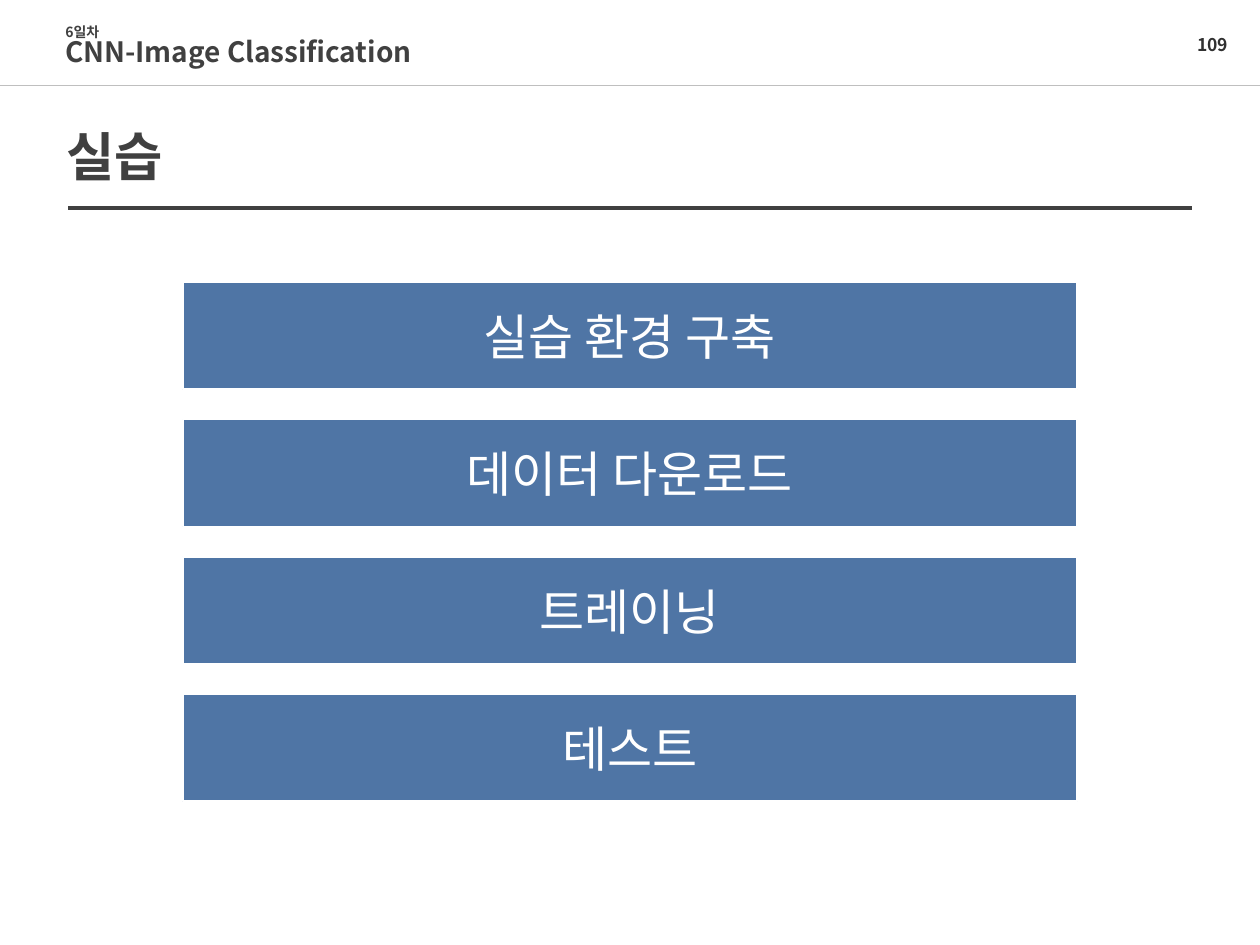
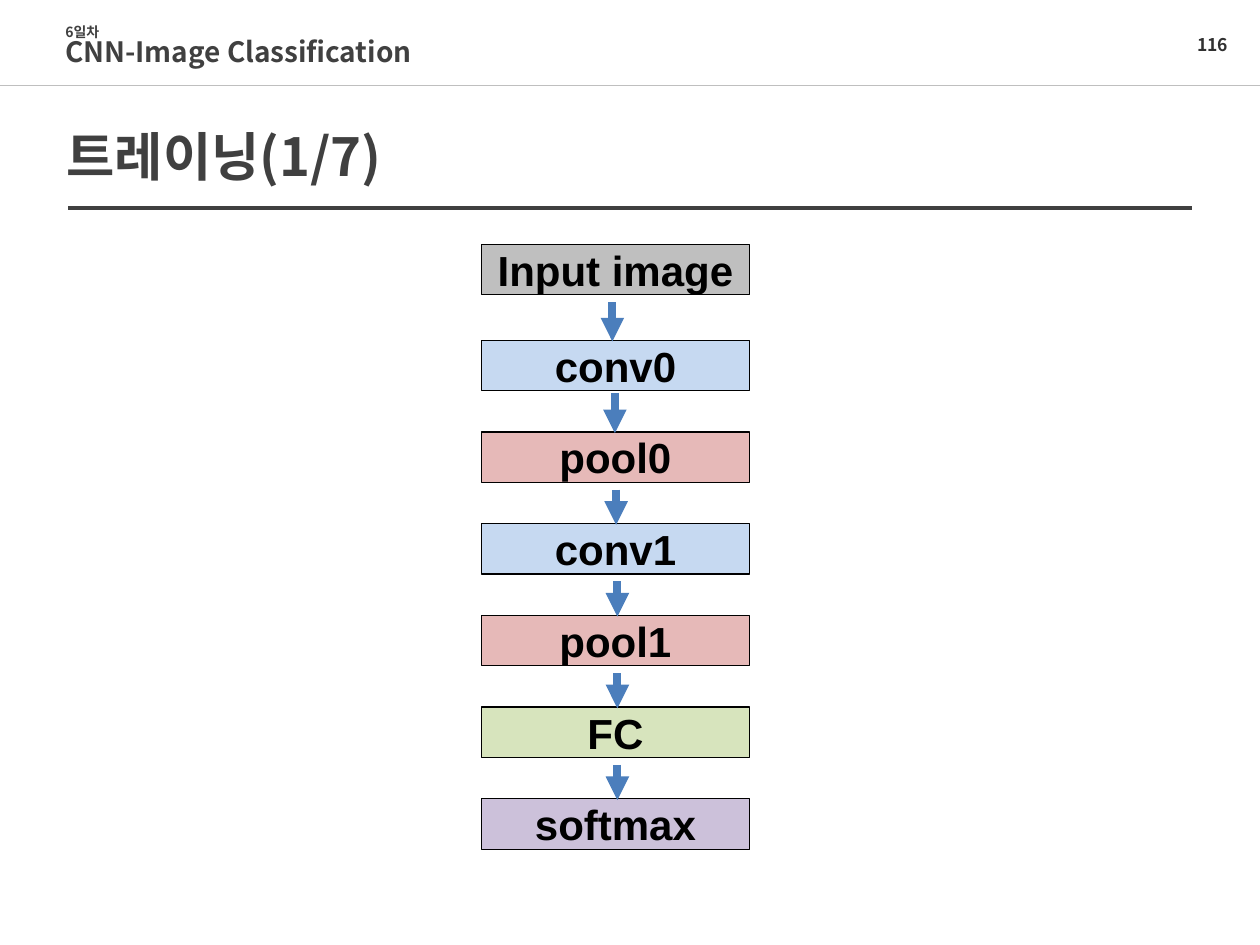
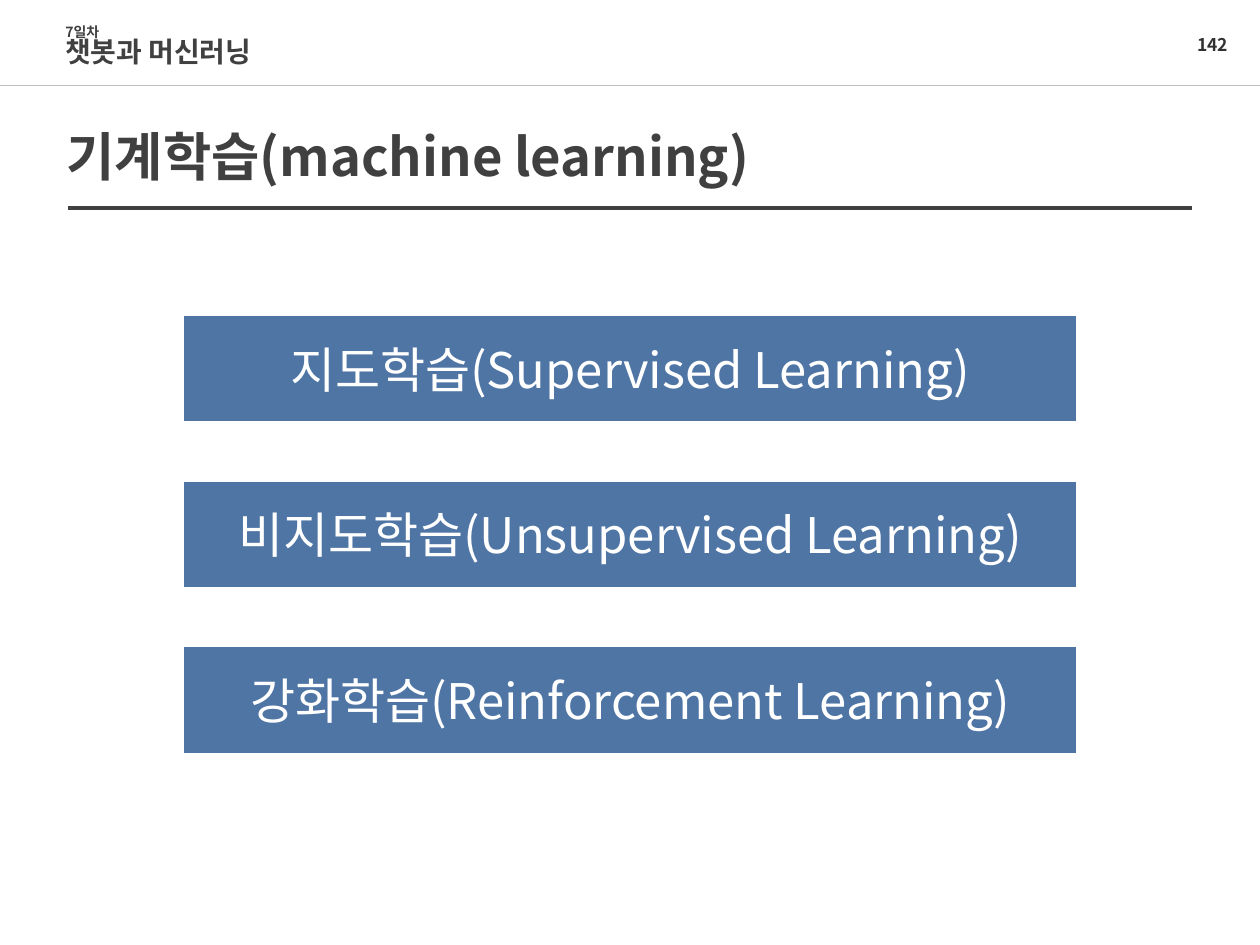
from dataclasses import dataclass

from lxml import etree
from pptx import Presentation
from pptx.dml.color import RGBColor
from pptx.enum.shapes import MSO_CONNECTOR, MSO_SHAPE
from pptx.enum.text import MSO_ANCHOR, MSO_AUTO_SIZE, PP_ALIGN
from pptx.oxml.ns import qn
from pptx.util import Emu, Inches, Pt

RECTANGLE = MSO_SHAPE.RECTANGLE
STRAIGHT = MSO_CONNECTOR.STRAIGHT
TOP, MIDDLE = MSO_ANCHOR.TOP, MSO_ANCHOR.MIDDLE
LEFT, CENTER = PP_ALIGN.LEFT, PP_ALIGN.CENTER
FIT_SHAPE = MSO_AUTO_SIZE.SHAPE_TO_FIT_TEXT

KOREAN, LATIN = "Noto Sans CJK KR", "Arial"
COLORS = {
    "ink": "404040", "number": "313131", "rule": "BFBFBF",
    "bar": "23538F", "white": "FFFFFF", "black": "000000", "arrow": "4B7EBC",
    "input": "BFBFBF", "conv": "C6D9F1", "pool": "E6B9B8",
    "dense": "D7E4BD", "output": "CCC1DA",
}

# Grid: 100 columns by 75 rows
WIDTH, HEIGHT = Inches(10), Inches(7.5)
COLUMN, ROW = WIDTH / 100, HEIGHT / 75


@dataclass(frozen=True)
class Area:
    left: float
    top: float
    width: float
    height: float

    def emu(self) -> tuple[Emu, ...]:
        return (Emu(round(self.left * COLUMN)), Emu(round(self.top * ROW)),
                Emu(round(self.width * COLUMN)), Emu(round(self.height * ROW)))


@dataclass(frozen=True)
class TextStyle:
    size: float
    color: str
    bold: bool = False
    font: str = KOREAN
    align: int = LEFT
    spacing: float = 1.0


@dataclass(frozen=True)
class Header:
    day: str
    subject: str
    title: str
    number: int
    width: float = 39.9


@dataclass(frozen=True)
class Bar:
    text: str
    font: str = KOREAN


@dataclass(frozen=True)
class Stage:
    name: str
    fill: str
    arrow_column: float = 0
    arrow_length: float = 0


DAY = TextStyle(8, "ink", bold=True, spacing=0.85)
SUBJECT = TextStyle(16, "ink", bold=True, spacing=0.85)
TITLE = TextStyle(30, "ink", bold=True, spacing=0.9)
NUMBER = TextStyle(10, "number", bold=True, align=CENTER, spacing=0.9)
STAGE = TextStyle(24, "black", bold=True, font=LATIN, align=CENTER)

BAR_LEFT, BAR_WIDTH, BAR_HEIGHT = 14.5, 71, 8.5
STAGE_LEFT, STAGE_WIDTH, STAGE_HEIGHT = 38.2, 21.3, 4
INPUT_TOP, FIRST_LAYER_TOP, LAYER_PITCH = 19.4, 27, 7.28

STAGES = [
    Stage("Input image", "input"),
    Stage("conv0", "conv", 48.6, 3.1),
    Stage("pool0", "pool", 48.8, 3.2),
    Stage("conv1", "conv", 48.9, 2.8),
    Stage("pool1", "pool", 49, 2.8),
    Stage("FC", "dense", 49, 2.8),
    Stage("softmax", "output", 49, 2.8),
]


def rgb(name: str) -> RGBColor:
    return RGBColor.from_string(COLORS[name])


def write(frame, lines: list[tuple[str, TextStyle]], **settings) -> None:
    """Fill a text frame with one paragraph per line."""
    for name, value in ({"word_wrap": True} | settings).items():
        setattr(frame, name, value)
    for index, (text, style) in enumerate(lines):
        para = frame.add_paragraph() if index else frame.paragraphs[0]
        para.alignment, para.line_spacing = style.align, style.spacing
        span = para.add_run()
        span.text = text
        formats = {"size": Pt(style.size), "bold": style.bold, "name": style.font}
        for name, value in formats.items():
            setattr(span.font, name, value)
        span.font.color.rgb = rgb(style.color)
        properties = span.font._element
        etree.SubElement(properties, qn("a:ea")).set("typeface", KOREAN)


def add_text(page, area: Area, lines: list[tuple[str, TextStyle]], **settings) -> None:
    write(page.shapes.add_textbox(*area.emu()).text_frame, lines, **settings)


def add_box(page, area: Area, fill: str, line: str, points: float):
    box = page.shapes.add_shape(RECTANGLE, *area.emu())
    box.shadow.inherit = False
    box.fill.solid()
    box.fill.fore_color.rgb = rgb(fill)
    box.line.color.rgb = rgb(line)
    box.line.width = Pt(points)
    return box


def add_line(page, area: Area, color: str, points: float, arrow: bool = False) -> None:
    left, top, width, height = area.emu()
    line = page.shapes.add_connector(STRAIGHT, left, top, left + width, top + height)
    line.line.color.rgb = rgb(color)
    line.line.width = Pt(points)
    if arrow:
        etree.SubElement(line.line._get_or_add_ln(), qn("a:tailEnd")).set("type", "triangle")
    etree.SubElement(line._element.spPr, qn("a:effectLst"))


def add_page(deck, header: Header):
    """Blank page with page number, rules, title and day heading."""
    page = deck.slides.add_slide(deck.slide_layouts[6])
    margins = dict.fromkeys(
        ("margin_left", "margin_top", "margin_right", "margin_bottom"), 0)
    add_text(page, Area(94.5, 2.9, 3.5, 1.7), [(str(header.number), NUMBER)],
             **margins | {"word_wrap": False, "auto_size": FIT_SHAPE})
    add_line(page, Area(0, 6.8, 100, 0), "rule", 0.75)
    add_line(page, Area(5.4, 16.5, 89.2, 0), "ink", 2)
    add_text(page, Area(4.3, 9.9, 90, 7.2), [(header.title, TITLE)], vertical_anchor=TOP)
    add_text(page, Area(4.2, 1.5, header.width, 4.5),
             [(header.day, DAY), (header.subject, SUBJECT)], vertical_anchor=MIDDLE)
    return page


def add_bars(page, bars: list[Bar], top: float, pitch: float) -> None:
    """Stack translucent topic bars at an equal pitch."""
    for index, bar in enumerate(bars):
        area = Area(BAR_LEFT, top + index * pitch, BAR_WIDTH, BAR_HEIGHT)
        box = add_box(page, area, "bar", "white", 1)
        color = box._element.spPr.find(qn("a:solidFill"))[0]
        etree.SubElement(color, qn("a:alpha")).set("val", "80000")
        style = TextStyle(28, "white", font=bar.font, align=CENTER)
        write(box.text_frame, [(bar.text, style)], vertical_anchor=MIDDLE)


def add_network(page, stages: list[Stage]) -> None:
    """Stack the network stages, then the arrows leading into them."""
    tops = [INPUT_TOP] + [FIRST_LAYER_TOP + index * LAYER_PITCH
                          for index in range(len(stages) - 1)]
    for stage, top in zip(stages, tops):
        area = Area(STAGE_LEFT, top, STAGE_WIDTH, STAGE_HEIGHT)
        box = add_box(page, area, stage.fill, "black", 0.75)
        write(box.text_frame, [(stage.name, STAGE)], vertical_anchor=TOP,
              margin_top=0, margin_bottom=0, auto_size=FIT_SHAPE)
    for stage, top in zip(stages[1:], tops[1:]):
        start = top + 0.1 - stage.arrow_length
        add_line(page, Area(stage.arrow_column, start, 0, stage.arrow_length),
                 "arrow", 4.5, arrow=True)


def main() -> None:
    deck = Presentation()
    deck.slide_width, deck.slide_height = WIDTH, HEIGHT

    # Practice outline
    classification = ("6일차", "CNN-Image Classification")
    page = add_page(deck, Header(*classification, "실습", 109))
    add_bars(page, [Bar("실습 환경 구축"), Bar("데이터 다운로드"),
                    Bar("트레이닝"), Bar("테스트", LATIN)], top=22.4, pitch=10.9)

    # Network used for training
    page = add_page(deck, Header(*classification, "트레이닝(1/7)", 116))
    add_network(page, STAGES)

    # Kinds of machine learning
    page = add_page(deck, Header("7일차", "챗봇과 머신러닝",
                                 "기계학습(machine learning)", 142, width=27.4))
    add_bars(page, [Bar("지도학습(Supervised Learning)"),
                    Bar("비지도학습(Unsupervised Learning)"),
                    Bar("강화학습(Reinforcement Learning)")], top=25, pitch=13.15)

    deck.save("out.pptx")


if __name__ == "__main__":
    main()
